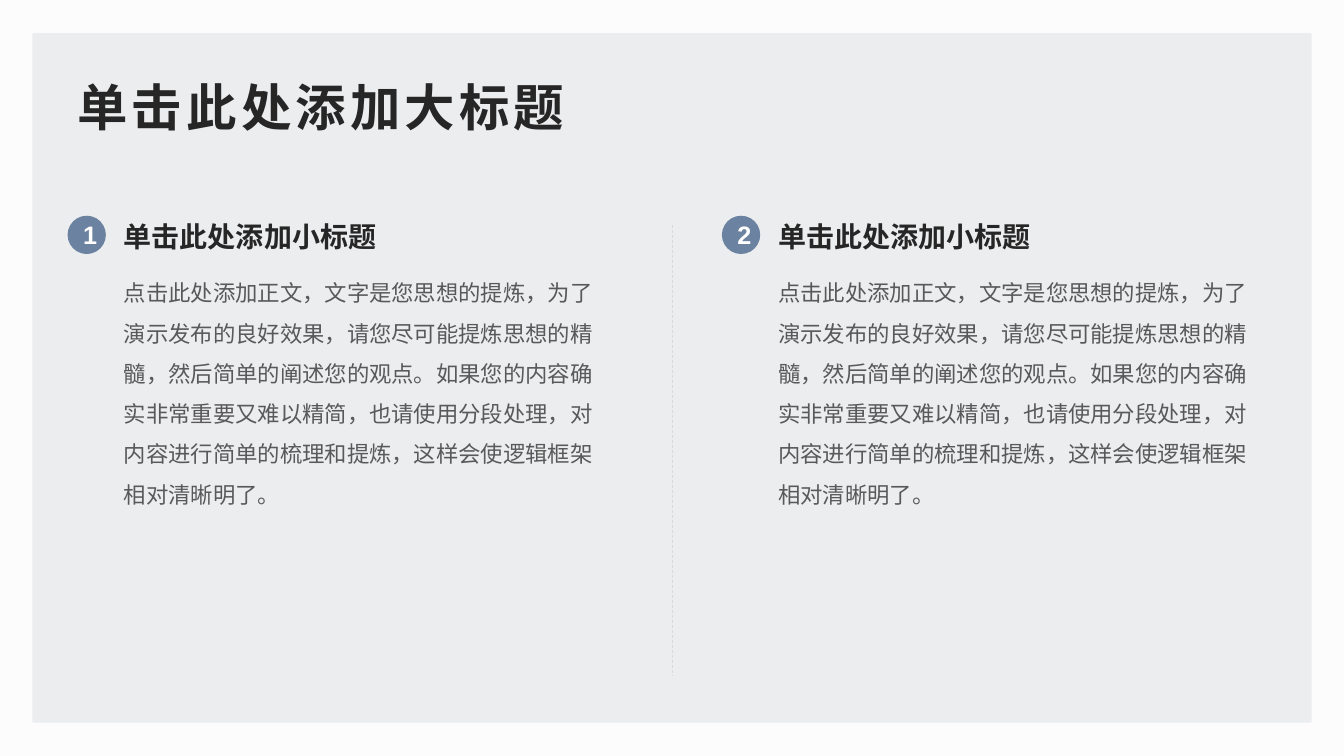
import pptx
import pptx.util
import pptx.dml.color
import pptx.enum.dml
import pptx.enum.shapes
import pptx.enum.text
import pptx.oxml.ns
import lxml.etree

Inches = pptx.util.Inches
Shape = pptx.enum.shapes.MSO_SHAPE
Align = pptx.enum.text.PP_ALIGN
MIDDLE = pptx.enum.text.MSO_ANCHOR.MIDDLE

THEME = {
    "font": "Arial",
    "back": "FCFCFD", "panel": "ECEDEF", "badge": "6B82A0", "rule": "D9D9D9",
    "title": {"size": 36, "bold": True, "color": "262626"},
    "head": {"size": 20, "bold": True, "color": "262626"},
    "body": {"size": 16, "bold": False, "color": "595959"},
    "mark": {"size": 18, "bold": True, "color": "FFFFFF"},
}
TITLE = "单击此处添加大标题"
HEAD = "单击此处添加小标题"
BODY = ("点击此处添加正文，文字是您思想的提炼，为了演示发布的良好效果，"
        "请您尽可能提炼思想的精髓，然后简单的阐述您的观点。"
        "如果您的内容确实非常重要又难以精简，也请使用分段处理，"
        "对内容进行简单的梳理和提炼，这样会使逻辑框架相对清晰明了。")


def color(name):
    """Turn a hex string into a colour."""
    return pptx.dml.color.RGBColor.from_string(name)


def put(item, values):
    """Set each attribute in values on item."""
    for name, value in values.items():
        setattr(item, name, value)


def write(shape, text, style, anchor=None, space=0, **form):
    """Write one styled paragraph into a shape."""
    look = THEME[style]
    frame = shape.text_frame
    put(frame, {"word_wrap": True, "vertical_anchor": anchor})
    para = frame.paragraphs[0]
    put(para, form)
    run = para.add_run()
    run.text = text
    put(run.font, {"name": THEME["font"], "bold": look["bold"],
                   "size": pptx.util.Pt(look["size"])})
    run.font.color.rgb = color(look["color"])
    props = run._r.get_or_add_rPr()
    east = lxml.etree.SubElement(props, pptx.oxml.ns.qn("a:ea"))
    east.set("typeface", THEME["font"])
    if space:
        props.set("spc", str(space * 100))


def add_text(slide, box, text, style, **form):
    """Add a text box at box (left, top, width, height)."""
    shape = slide.shapes.add_textbox(*map(Inches, box))
    write(shape, text, style, **form)


def add_shape(slide, kind, box, fill):
    """Add a flat filled shape without outline."""
    shape = slide.shapes.add_shape(kind, *map(Inches, box))
    shape.shadow.inherit = False
    shape.fill.solid()
    shape.fill.fore_color.rgb = color(THEME[fill])
    shape.line.fill.background()
    return shape


def add_rule(slide, x, top, end):
    """Add the dashed upright line between the columns."""
    rule = slide.shapes.add_connector(
        pptx.enum.shapes.MSO_CONNECTOR.STRAIGHT,
        *map(Inches, (x, top, x, end)))
    put(rule.line, {"width": pptx.util.Pt(0.5),
                    "dash_style": pptx.enum.dml.MSO_LINE.DASH})
    rule.line.color.rgb = color(THEME["rule"])
    props = rule._element.spPr
    lxml.etree.SubElement(props, pptx.oxml.ns.qn("a:effectLst"))


def add_column(slide, left, mark):
    """Add a numbered column: body, heading and round badge."""
    text = left + 0.46
    add_text(slide, (text, 2.59, 5.04, 4.25), BODY, "body",
             line_spacing=1.5, space_before=pptx.util.Pt(10))
    add_text(slide, (text, 2.13, 5.04, 0.44), HEAD, "head")
    badge = add_shape(slide, Shape.OVAL, (left, 2.14, 0.38, 0.38), "badge")
    write(badge, mark, "mark", anchor=MIDDLE, alignment=Align.CENTER)


def main():
    """Build and save the slide."""
    deck = pptx.Presentation()
    put(deck, {"slide_width": Inches(13.33), "slide_height": Inches(7.5)})
    slide = deck.slides.add_slide(deck.slide_layouts[6])
    slide.background.fill.solid()
    slide.background.fill.fore_color.rgb = color(THEME["back"])
    add_shape(slide, Shape.RECTANGLE, (0.32, 0.33, 12.69, 6.84), "panel")
    add_column(slide, 0.67, "1")
    add_rule(slide, 6.67, 2.23, 6.7)
    add_column(slide, 7.16, "2")
    add_text(slide, (0.67, 0.67, 12, 0.77), TITLE, "title",
             anchor=MIDDLE, space=3)
    deck.save("out.pptx")


main()
